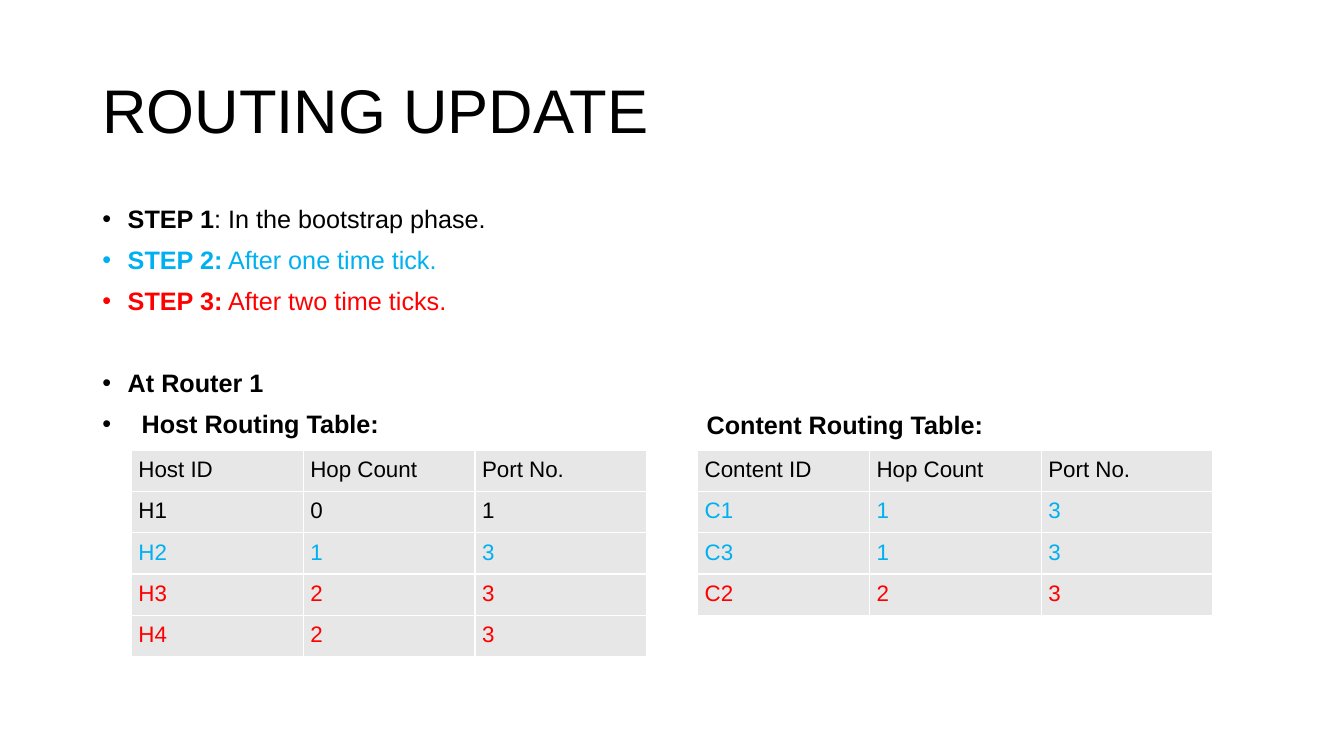
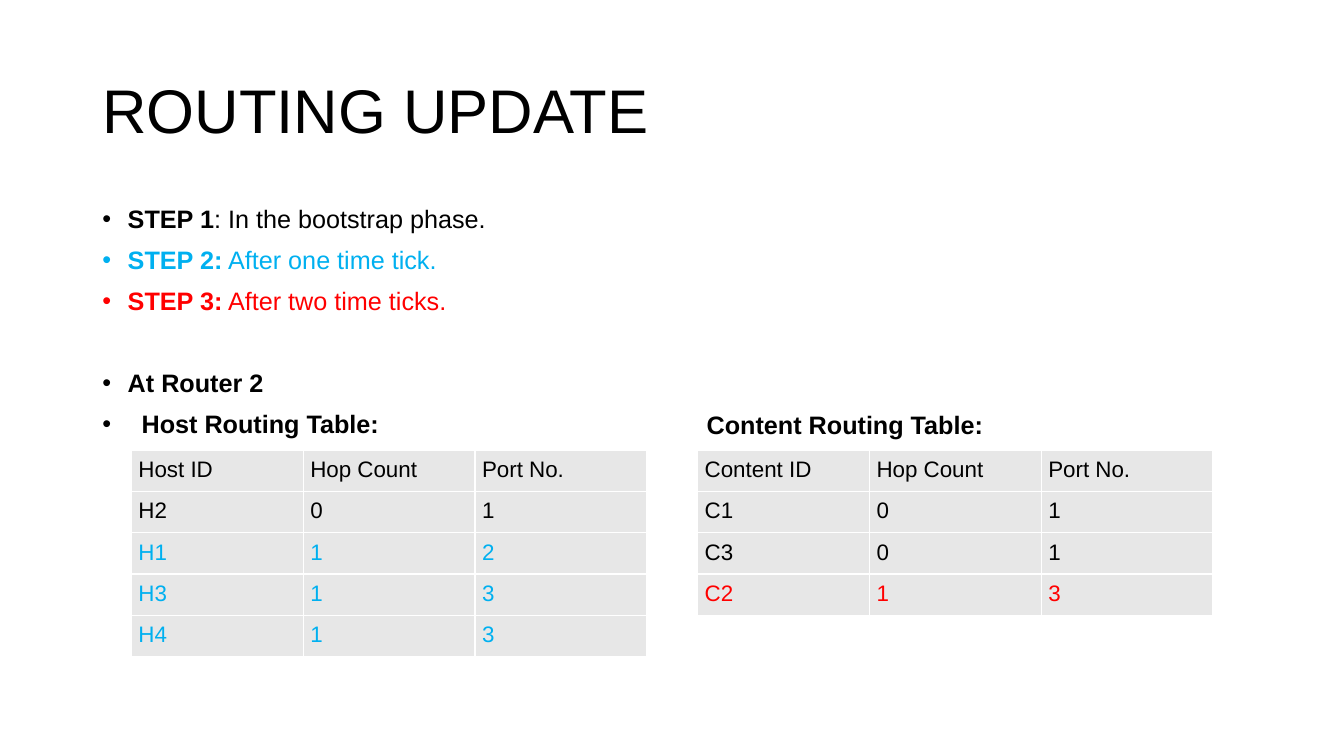
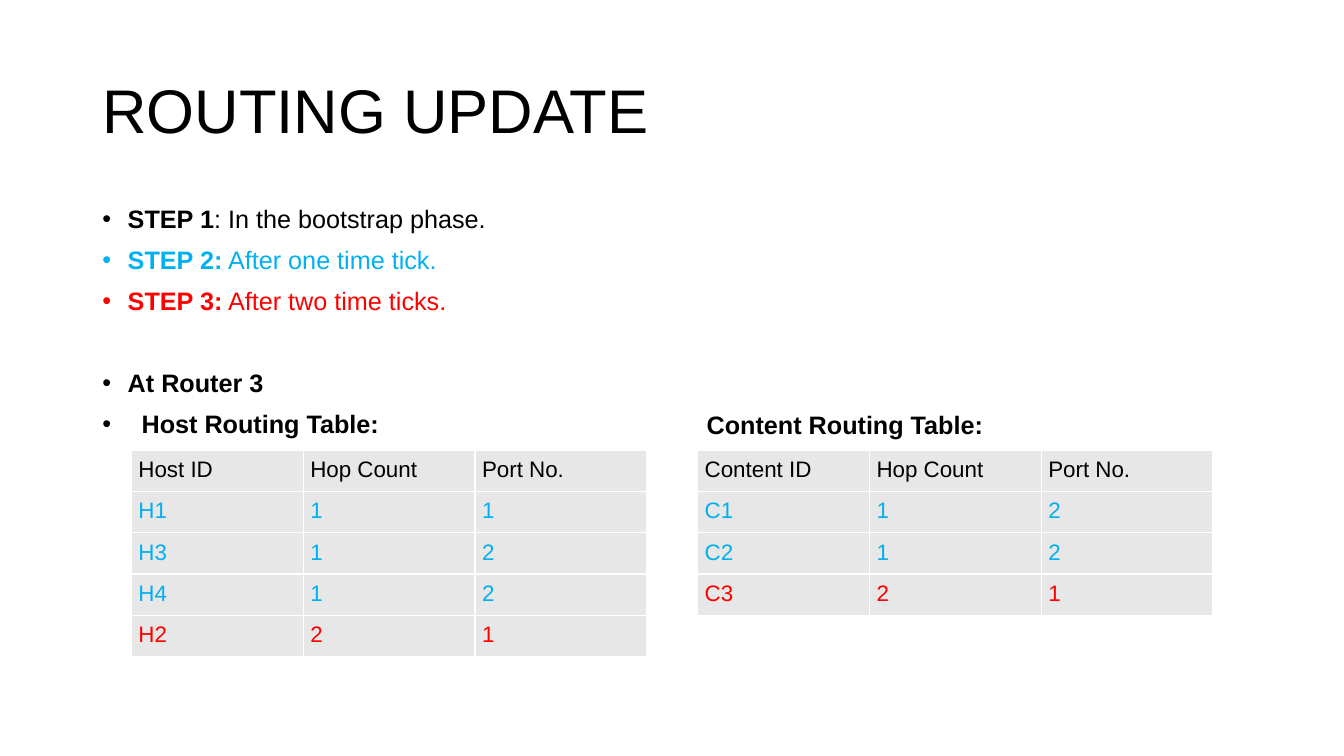
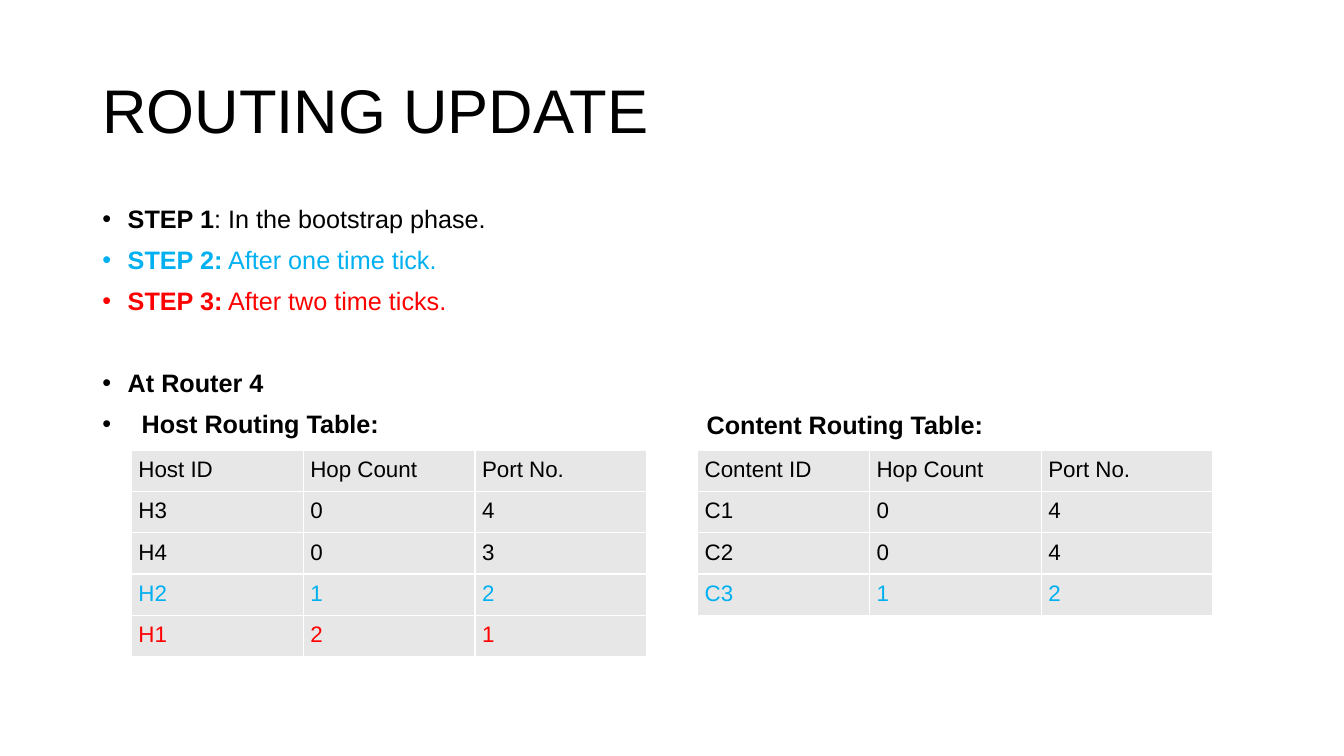
from dataclasses import dataclass

from lxml.etree import SubElement
from pptx import Presentation
from pptx.dml.color import RGBColor
from pptx.enum.text import MSO_ANCHOR
from pptx.oxml.ns import qn
from pptx.slide import Slide
from pptx.text.text import TextFrame, _Paragraph
from pptx.util import Cm, Pt


@dataclass(frozen=True)
class Theme:
    font: str = "Arial"
    black: str = "000000"
    blue: str = "00B0F0"
    red: str = "FF0000"
    fill: str = "E7E7E7"
    rule: str = "FFFFFF"
    title: int = 44
    body: int = 18
    cell: int = 16

    @property
    def steps(self) -> tuple[str, str, str]:
        return self.black, self.blue, self.red


@dataclass(frozen=True)
class Box:
    left: float
    top: float
    width: float
    height: float


@dataclass(frozen=True)
class Line:
    bold: str
    plain: str = ""
    color: str = "000000"
    before: int = 10
    indent: float = 0.64


@dataclass(frozen=True)
class Row:
    name: str
    hops: int
    port: int
    step: int

    @property
    def cells(self) -> tuple[str, str, str]:
        return self.name, str(self.hops), str(self.port)


@dataclass(frozen=True)
class Router:
    hosts: tuple[Row, ...]
    items: tuple[Row, ...]


THEME = Theme()
TITLE = Box(2.33, 1.01, 29.21, 3.68)
BODY = Box(2.33, 5.08, 29.21, 12.09)
LABEL = Box(17.56, 10.27, 13, 1.03)
HOST_X, ITEM_X, GRID_Y = 3.31, 17.58, 11.35
COL_W, ROW_H = 4.33, 1.03
INSETS = {f"margin_{side}": Cm(0.18) for side in ("left", "right", "top", "bottom")}

STEPS = (
    Line("STEP 1", ": In the bootstrap phase.", THEME.black),
    Line("STEP 2:", " After one time tick.", THEME.blue),
    Line("STEP 3:", " After two time ticks.", THEME.red),
)

ROUTERS = (
    Router(
        (Row("H1", 0, 1, 1), Row("H2", 1, 3, 2), Row("H3", 2, 3, 3), Row("H4", 2, 3, 3)),
        (Row("C1", 1, 3, 2), Row("C3", 1, 3, 2), Row("C2", 2, 3, 3)),
    ),
    Router(
        (Row("H2", 0, 1, 1), Row("H1", 1, 2, 2), Row("H3", 1, 3, 2), Row("H4", 1, 3, 2)),
        (Row("C1", 0, 1, 1), Row("C3", 0, 1, 1), Row("C2", 1, 3, 3)),
    ),
    Router(
        (Row("H1", 1, 1, 2), Row("H3", 1, 2, 2), Row("H4", 1, 2, 2), Row("H2", 2, 1, 3)),
        (Row("C1", 1, 2, 2), Row("C2", 1, 2, 2), Row("C3", 2, 1, 3)),
    ),
    Router(
        (Row("H3", 0, 4, 1), Row("H4", 0, 3, 1), Row("H2", 1, 2, 2), Row("H1", 2, 1, 3)),
        (Row("C1", 0, 4, 1), Row("C2", 0, 4, 1), Row("C3", 1, 2, 2)),
    ),
)


def apply(target: object, values: dict) -> None:
    for key, value in values.items():
        setattr(target, key, value)


def add_run(para: _Paragraph, text: str, size: int, color: str, bold: bool = False) -> None:
    run = para.add_run()
    run.text = text
    apply(run.font, {"name": THEME.font, "size": Pt(size), "bold": bold})
    run.font.color.rgb = RGBColor.from_string(color)


def add_box(slide: Slide, box: Box, anchor: MSO_ANCHOR = MSO_ANCHOR.TOP) -> TextFrame:
    shape = slide.shapes.add_textbox(Cm(box.left), Cm(box.top), Cm(box.width), Cm(box.height))
    frame = shape.text_frame
    apply(frame, {"word_wrap": True, "vertical_anchor": anchor})
    frame.paragraphs[0].line_spacing = 0.9
    return frame


def add_dot(para: _Paragraph, indent: float) -> None:
    props = para._p.get_or_add_pPr()
    props.set("marL", str(Cm(indent)))
    props.set("indent", str(-Cm(indent)))
    SubElement(props, qn("a:buFont"), typeface=THEME.font)
    SubElement(props, qn("a:buChar"), char="•")


def add_list(slide: Slide, lines: tuple[Line, ...]) -> None:
    frame = add_box(slide, BODY)
    for index, line in enumerate(lines):
        para = frame.add_paragraph() if index else frame.paragraphs[0]
        apply(para, {"line_spacing": 0.9, "space_before": Pt(line.before)})
        add_dot(para, line.indent)
        add_run(para, line.bold, THEME.body, line.color, True)
        if line.plain:
            add_run(para, line.plain, THEME.body, line.color)


def add_grid(slide: Slide, left: float, kind: str, rows: tuple[Row, ...]) -> None:
    data = [((f"{kind} ID", "Hop Count", "Port No."), THEME.black)]
    data += [(row.cells, THEME.steps[row.step - 1]) for row in rows]
    count = len(data[0][0])
    table = slide.shapes.add_table(
        len(data), count, Cm(left), Cm(GRID_Y), Cm(COL_W * count), Cm(ROW_H * len(data))
    ).table
    apply(table, {"first_row": False, "horz_banding": False})
    for col in table.columns:
        col.width = Cm(COL_W)
    for y, (texts, color) in enumerate(data):
        table.rows[y].height = Cm(ROW_H)
        for x, text in enumerate(texts):
            cell = table.cell(y, x)
            apply(cell, INSETS)
            props = cell._tc.get_or_add_tcPr()
            for side in ("lnL", "lnR", "lnT", "lnB"):
                edge = SubElement(props, qn(f"a:{side}"), w=str(Pt(1)))
                paint = SubElement(edge, qn("a:solidFill"))
                SubElement(paint, qn("a:srgbClr"), val=THEME.rule)
            cell.fill.solid()
            cell.fill.fore_color.rgb = RGBColor.from_string(THEME.fill)
            add_run(cell.text_frame.paragraphs[0], text, THEME.cell, color)


def add_page(slide: Slide, number: int, router: Router) -> None:
    title = add_box(slide, TITLE, MSO_ANCHOR.MIDDLE)
    add_run(title.paragraphs[0], "ROUTING UPDATE", THEME.title, THEME.black)
    heads = (
        Line(f"At Router {number}", before=39),
        Line("Host Routing Table:", indent=0.99),
    )
    add_list(slide, STEPS + heads)
    label = add_box(slide, LABEL)
    add_run(label.paragraphs[0], "Content Routing Table:", THEME.body, THEME.black, True)
    add_grid(slide, HOST_X, "Host", router.hosts)
    add_grid(slide, ITEM_X, "Content", router.items)


def main() -> None:
    deck = Presentation()
    apply(deck, {"slide_width": Cm(33.87), "slide_height": Cm(19.05)})
    blank = deck.slide_layouts[6]
    for number, router in enumerate(ROUTERS, 1):
        add_page(deck.slides.add_slide(blank), number, router)
    deck.save("out.pptx")


if __name__ == "__main__":
    main()
